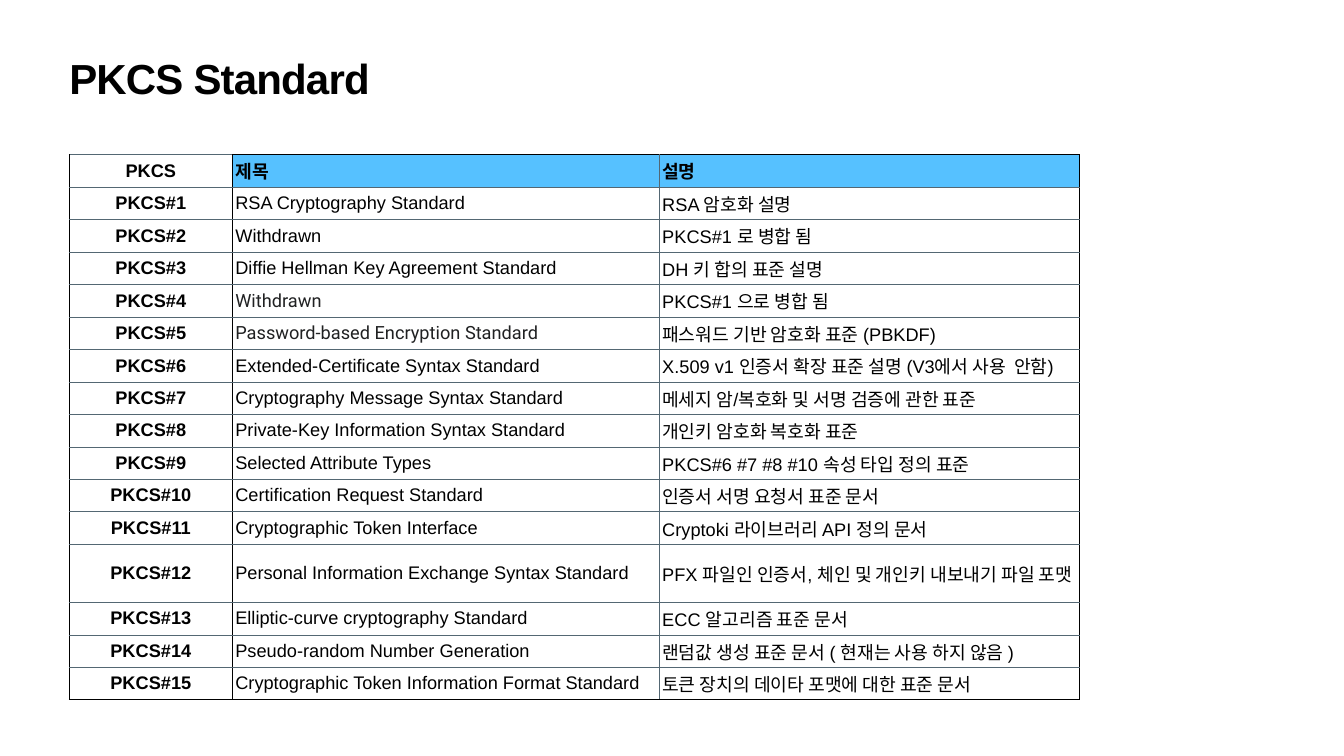
import pptx
import pptx.dml.color
import pptx.enum.text
import pptx.oxml.ns
import pptx.util
from lxml import etree

Pt = pptx.util.Pt
ALIGN = pptx.enum.text.PP_ALIGN
ANCHOR = pptx.enum.text.MSO_ANCHOR


class Theme:
    font, alt_font = "Arial", "Roboto"
    ink, soft_ink = "000000", "202122"
    header, rule = "56C1FF", "536773"
    title_size, body_size = 60, 26
    inset = 4


HEADER = ("PKCS", "제목", "설명")
STANDARDS = [
    ("RSA Cryptography Standard", "RSA 암호화 설명"),
    ("Withdrawn", "PKCS#1 로 병합 됨"),
    ("Diffie Hellman Key Agreement Standard", "DH 키 합의 표준 설명"),
    ("Withdrawn", "PKCS#1 으로 병합 됨"),
    ("Password-based Encryption Standard", "패스워드 기반 암호화 표준 (PBKDF)"),
    ("Extended-Certificate Syntax Standard",
     "X.509 v1 인증서 확장 표준 설명 (V3에서 사용  안함)"),
    ("Cryptography Message Syntax Standard",
     "메세지 암/복호화 및 서명 검증에 관한 표준"),
    ("Private-Key Information Syntax Standard", "개인키 암호화 복호화 표준"),
    ("Selected Attribute Types", "PKCS#6 #7 #8 #10 속성 타입 정의 표준"),
    ("Certification Request Standard", "인증서 서명 요청서 표준 문서"),
    ("Cryptographic Token Interface", "Cryptoki 라이브러리 API 정의 문서"),
    ("Personal Information Exchange Syntax Standard",
     "PFX 파일인 인증서, 체인 및 개인키 내보내기 파일 포맷"),
    ("Elliptic-curve cryptography Standard", "ECC 알고리즘 표준 문서"),
    ("Pseudo-random Number Generation",
     "랜덤값 생성 표준 문서 ( 현재는 사용 하지 않음 )"),
    ("Cryptographic Token Information Format Standard",
     "토큰 장치의 데이타 포맷에 대한 표준 문서"),
]
SOFT_ROWS = (4, 5)  # rows whose title uses the second font
COL_WIDTHS = (233.3, 609.9, 600.5)
ROW_HEIGHT = 46.4
TALL_ROWS = {12: 83}  # rows whose description takes two lines


def rgb(value):
    return pptx.dml.color.RGBColor.from_string(value)


def set_text(tf, text, size, bold, spacing, font=Theme.font, color=Theme.ink):
    tf.text = text
    tf.word_wrap = True
    p = tf.paragraphs[0]
    p.line_spacing = spacing
    r = p.runs[0]
    r.font.name, r.font.size, r.font.bold = font, Pt(size), bold
    r.font.color.rgb = rgb(color)
    return p


def set_insets(box):
    box.margin_left = box.margin_right = Pt(Theme.inset)
    box.margin_top = box.margin_bottom = Pt(Theme.inset)


def add_title(slide, text):
    sp = slide.shapes.add_textbox(Pt(95), Pt(85), Pt(1730), Pt(113))
    set_insets(sp.text_frame)
    p = set_text(sp.text_frame, text, Theme.title_size, True, 0.8)
    p.runs[0].font._element.set("spc", "-120")


def set_borders(cell, colors):
    """Draw the left, right, top and bottom rules of a cell."""
    tc_pr = cell._tc.get_or_add_tcPr()
    qn = pptx.oxml.ns.qn
    for side, color in zip("LRTB", colors):
        ln = etree.SubElement(tc_pr, qn(f"a:ln{side}"), w=str(Pt(1)))
        fill = etree.SubElement(ln, qn("a:solidFill"))
        etree.SubElement(fill, qn("a:srgbClr"), val=color)


def format_cell(cell, text, row, col, last_row):
    is_header, is_number = row == 0, col == 0
    soft = col == 1 and row in SOFT_ROWS
    p = set_text(cell.text_frame, text, Theme.body_size,
                 is_header or is_number, 1.0,
                 Theme.alt_font if soft else Theme.font,
                 Theme.soft_ink if soft else Theme.ink)
    p.alignment = ALIGN.CENTER if is_number else ALIGN.LEFT
    cell.vertical_anchor = ANCHOR.MIDDLE
    set_insets(cell)

    # Black outside and beside the number column, grey elsewhere
    black = (col < 2, col != 1, is_header and not is_number, row == last_row)
    set_borders(cell, [Theme.ink if b else Theme.rule for b in black])
    if is_header and not is_number:
        cell.fill.solid()
        cell.fill.fore_color.rgb = rgb(Theme.header)
    else:
        cell.fill.background()


def add_standards_table(slide):
    rows = [HEADER] + [(f"PKCS#{n}", *texts)
                       for n, texts in enumerate(STANDARDS, 1)]
    heights = [TALL_ROWS.get(i, ROW_HEIGHT) for i in range(len(rows))]
    frame = slide.shapes.add_table(
        len(rows), len(HEADER), Pt(98.9), Pt(221),
        Pt(sum(COL_WIDTHS)), Pt(sum(heights)))
    table = frame.table
    table.first_row = table.horz_banding = False
    for column, width in zip(table.columns, COL_WIDTHS):
        column.width = Pt(width)
    for i, texts in enumerate(rows):
        table.rows[i].height = Pt(heights[i])
        for j, text in enumerate(texts):
            format_cell(table.cell(i, j), text, i, j, len(rows) - 1)


def main():
    prs = pptx.Presentation()
    prs.slide_width, prs.slide_height = Pt(1920), Pt(1080)
    slide = prs.slides.add_slide(prs.slide_layouts[6])
    add_title(slide, "PKCS Standard")
    add_standards_table(slide)
    prs.save("out.pptx")


if __name__ == "__main__":
    main()
